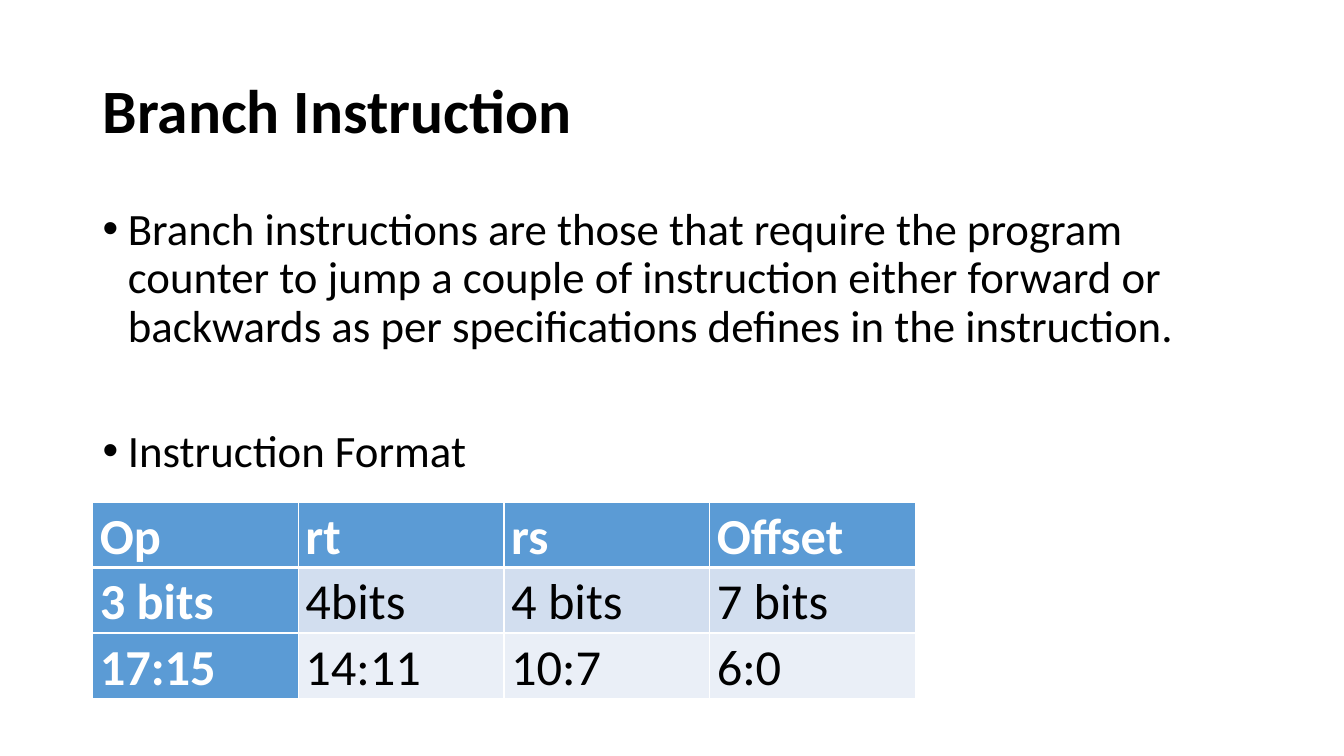
from pptx import Presentation
from pptx.dml.color import RGBColor
from pptx.enum.text import MSO_ANCHOR
from pptx.oxml import parse_xml
from pptx.oxml.ns import nsdecls
from pptx.util import Inches, Pt


def color(hex_string):
    return RGBColor.from_string(hex_string)


def write(paragraph, text, size, hex_string, bold, spacing):
    paragraph.text = text
    paragraph.line_spacing = spacing
    font = paragraph.runs[0].font
    font.name = "Calibri"
    font.size = Pt(size)
    font.bold = bold
    font.color.rgb = color(hex_string)


presentation = Presentation()
presentation.slide_width = Inches(13.33)
presentation.slide_height = Inches(7.5)
slide = presentation.slides.add_slide(presentation.slide_layouts[6])

left = Inches(0.92)
content_width = presentation.slide_width - 2 * left

title = slide.shapes.add_textbox(left, Inches(0.4), content_width, Inches(1.45))
title.text_frame.word_wrap = True
title.text_frame.vertical_anchor = MSO_ANCHOR.MIDDLE
write(title.text_frame.paragraphs[0], "Branch Instruction", 44, "000000", True, 0.9)

body = slide.shapes.add_textbox(left, Inches(2), content_width, Inches(4.76))
body.text_frame.word_wrap = True
bullets = [
    ("Branch instructions are those that require the program counter to jump "
     "a couple of instruction either forward or backwards as per "
     "specifications defines in the instruction.", 10),
    ("Instruction Format", 55),
]
for index, (text, space_before) in enumerate(bullets):
    paragraph = body.text_frame.add_paragraph() if index else body.text_frame.paragraphs[0]
    write(paragraph, text, 32, "000000", False, 0.9)
    paragraph.space_before = Pt(space_before)
    properties = paragraph._p.get_or_add_pPr()
    properties.set("marL", str(Inches(0.25)))
    properties.set("indent", str(Inches(-0.25)))
    properties.append(parse_xml(f'<a:buFont {nsdecls("a")} typeface="Arial"/>'))
    properties.append(parse_xml(f'<a:buChar {nsdecls("a")} char="•"/>'))

fields = [
    ["Op", "rt", "rs", "Offset"],
    ["3 bits", "4bits", "4 bits", "7 bits"],
    ["17:15", "14:11", "10:7", "6:0"],
]
row_fills = ["5B9BD5", "D2DEEF", "EAEFF7"]
column_width = Inches(2.04)
row_height = Inches(0.65)
table = slide.shapes.add_table(
    len(fields), len(fields[0]), left, Inches(4.98),
    column_width * len(fields[0]), row_height * len(fields)).table
for column in table.columns:
    column.width = column_width

for row_index, row in enumerate(fields):
    table.rows[row_index].height = row_height
    for column_index, text in enumerate(row):
        cell = table.cell(row_index, column_index)
        heading = row_index == 0 or column_index == 0
        cell.margin_left = cell.margin_right = Inches(0.07)
        cell.margin_top = cell.margin_bottom = 0
        write(cell.text_frame.paragraphs[0], text, 36,
              "FFFFFF" if heading else "000000", heading, 1.07)
        properties = cell._tc.get_or_add_tcPr()
        for side in ("L", "R", "T", "B"):
            header_rule = (row_index, side) in [(0, "B"), (1, "T")]
            properties.append(parse_xml(
                f'<a:ln{side} {nsdecls("a")} w="{Pt(3 if header_rule else 1)}">'
                f'<a:solidFill><a:srgbClr val="FFFFFF"/></a:solidFill></a:ln{side}>'))
        cell.fill.solid()
        cell.fill.fore_color.rgb = color(row_fills[0] if heading else row_fills[row_index])

presentation.save("out.pptx")
